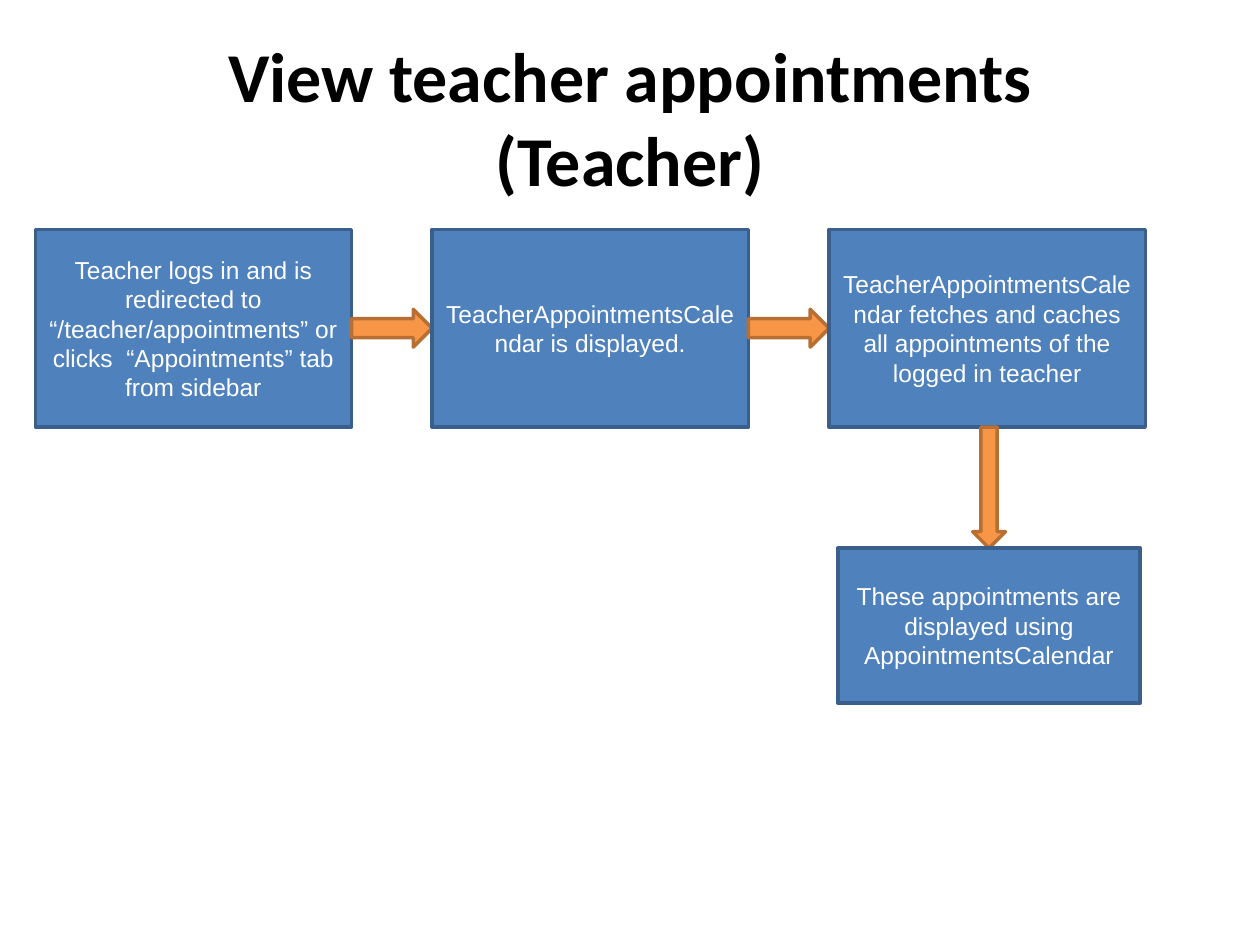
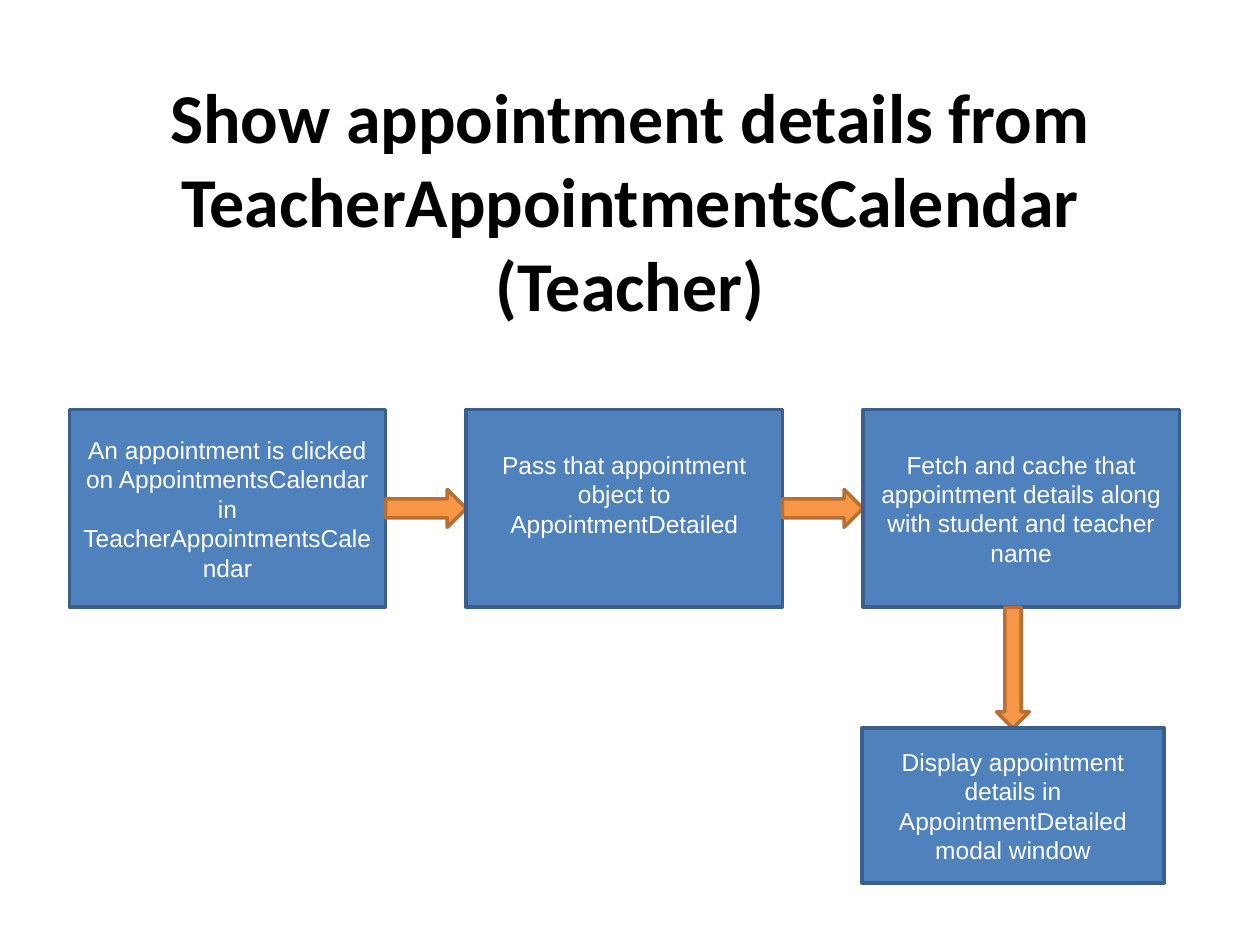
from pptx import Presentation
from pptx.dml.color import RGBColor
from pptx.enum.shapes import MSO_SHAPE
from pptx.enum.text import MSO_ANCHOR, MSO_AUTO_SIZE, PP_ALIGN
from pptx.oxml.ns import qn
from pptx.util import Inches, Pt

RECTANGLE = MSO_SHAPE.RECTANGLE
RIGHT_ARROW = MSO_SHAPE.RIGHT_ARROW
DOWN_ARROW = MSO_SHAPE.DOWN_ARROW
CENTER = PP_ALIGN.CENTER
MIDDLE = MSO_ANCHOR.MIDDLE
NO_AUTOFIT = MSO_AUTO_SIZE.NONE

BLACK = RGBColor(0x00, 0x00, 0x00)
WHITE = RGBColor(0xFF, 0xFF, 0xFF)
BLUE = RGBColor(0x4F, 0x81, 0xBD)
DARK_BLUE = RGBColor(0x3A, 0x5F, 0x8C)
ORANGE = RGBColor(0xF7, 0x96, 0x46)
DARK_ORANGE = RGBColor(0xB7, 0x6F, 0x34)

# Flow grid: three step boxes in a row, one result box below the last
STEP_WIDTH, STEP_HEIGHT = Inches(2.51), Inches(1.57)
RESULT_WIDTH, RESULT_HEIGHT = Inches(2.4), Inches(1.23)
COLUMN_GAP, ROW_GAP = Inches(0.64), Inches(0.96)
COLUMN = STEP_WIDTH + COLUMN_GAP
ROW = STEP_HEIGHT + ROW_GAP
RIGHT_ARROW_HEIGHT, DOWN_ARROW_WIDTH = Inches(0.3), Inches(0.26)
TITLE_LEFT, TITLE_TOP = Inches(0.5), Inches(0.3)
TEXT_LINE = Inches(0.23)

FLOWS = [
    {
        "title": "View teacher appointments\v(Teacher)",
        "title_height": Inches(1.25),
        "left": Inches(0.28),
        "top": Inches(1.82),
        "steps": [
            "Teacher logs in and is redirected to “/teacher/appointments” "
            "or clicks  “Appointments” tab from sidebar",
            "TeacherAppointmentsCalendar is displayed.",
            "TeacherAppointmentsCalendar fetches and caches all appointments "
            "of the logged in teacher",
        ],
        "raised_step": None,
        "result": "These appointments are displayed using AppointmentsCalendar",
        "result_left": Inches(6.65),
    },
    {
        "title": "Show appointment details from TeacherAppointmentsCalendar\v(Teacher)",
        "title_height": Inches(2.56),
        "left": Inches(0.55),
        "top": Inches(3.25),
        "steps": [
            "An appointment is clicked on AppointmentsCalendar in "
            "TeacherAppointmentsCalendar",
            "Pass that appointment object to AppointmentDetailed",
            "Fetch and cache that appointment details along with student "
            "and teacher name",
        ],
        "raised_step": 1,
        "result": "Display appointment details in AppointmentDetailed modal window",
        "result_left": Inches(6.84),
    },
]


def add_block(page, kind, left, top, width, height, fill, outline):
    block = page.shapes.add_shape(kind, left, top, width, height)
    block.shadow.inherit = False
    block.fill.solid()
    block.fill.fore_color.rgb = fill
    block.line.color.rgb = outline
    block.line.width = Pt(2)
    return block


def add_text_box(page, text, left, top, width, height):
    box = add_block(page, RECTANGLE, left, top, width, height, BLUE, DARK_BLUE)
    frame = box.text_frame
    frame.word_wrap = True
    frame.vertical_anchor = MIDDLE
    frame.text = text
    para = frame.paragraphs[0]
    para.alignment = CENTER
    font = para.runs[0].font
    font.name, font.size, font.color.rgb = "Arial", Pt(14), WHITE
    return box


deck = Presentation()
deck.slide_width, deck.slide_height = Inches(10), Inches(7.5)

# The master's title style also sizes the line breaks inside titles
title_style = deck.slide_master.element.find(".//" + qn("p:titleStyle"))
title_defaults = title_style.find(".//" + qn("a:defRPr"))
title_defaults.set("sz", "4000")
title_defaults.set("b", "1")

for flow in FLOWS:
    page = deck.slides.add_slide(deck.slide_layouts[5])
    left, top = flow["left"], flow["top"]

    title = page.shapes.title
    title.left, title.top = TITLE_LEFT, TITLE_TOP
    title.width = deck.slide_width - 2 * TITLE_LEFT
    title.height = flow["title_height"]
    title.text_frame.text = flow["title"]
    title.text_frame.auto_size = NO_AUTOFIT
    title.text_frame.vertical_anchor = MIDDLE
    heading = title.text_frame.paragraphs[0]
    heading.alignment = CENTER
    for span in heading.runs:
        span.font.name, span.font.color.rgb = "Calibri", BLACK

    for index, step in enumerate(flow["steps"]):
        step_left = left + index * COLUMN
        if index:
            add_block(page, RIGHT_ARROW, step_left - COLUMN_GAP,
                      top + (STEP_HEIGHT - RIGHT_ARROW_HEIGHT) // 2,
                      COLUMN_GAP, RIGHT_ARROW_HEIGHT, ORANGE, DARK_ORANGE)
        box = add_text_box(page, step, step_left, top, STEP_WIDTH, STEP_HEIGHT)
        if index == flow["raised_step"]:
            box.text_frame.margin_bottom += TEXT_LINE

    result_left = flow["result_left"]
    add_block(page, DOWN_ARROW,
              result_left + (RESULT_WIDTH - DOWN_ARROW_WIDTH) // 2,
              top + STEP_HEIGHT, DOWN_ARROW_WIDTH, ROW_GAP, ORANGE, DARK_ORANGE)
    add_text_box(page, flow["result"], result_left, top + ROW,
                 RESULT_WIDTH, RESULT_HEIGHT)

deck.save("out.pptx")
